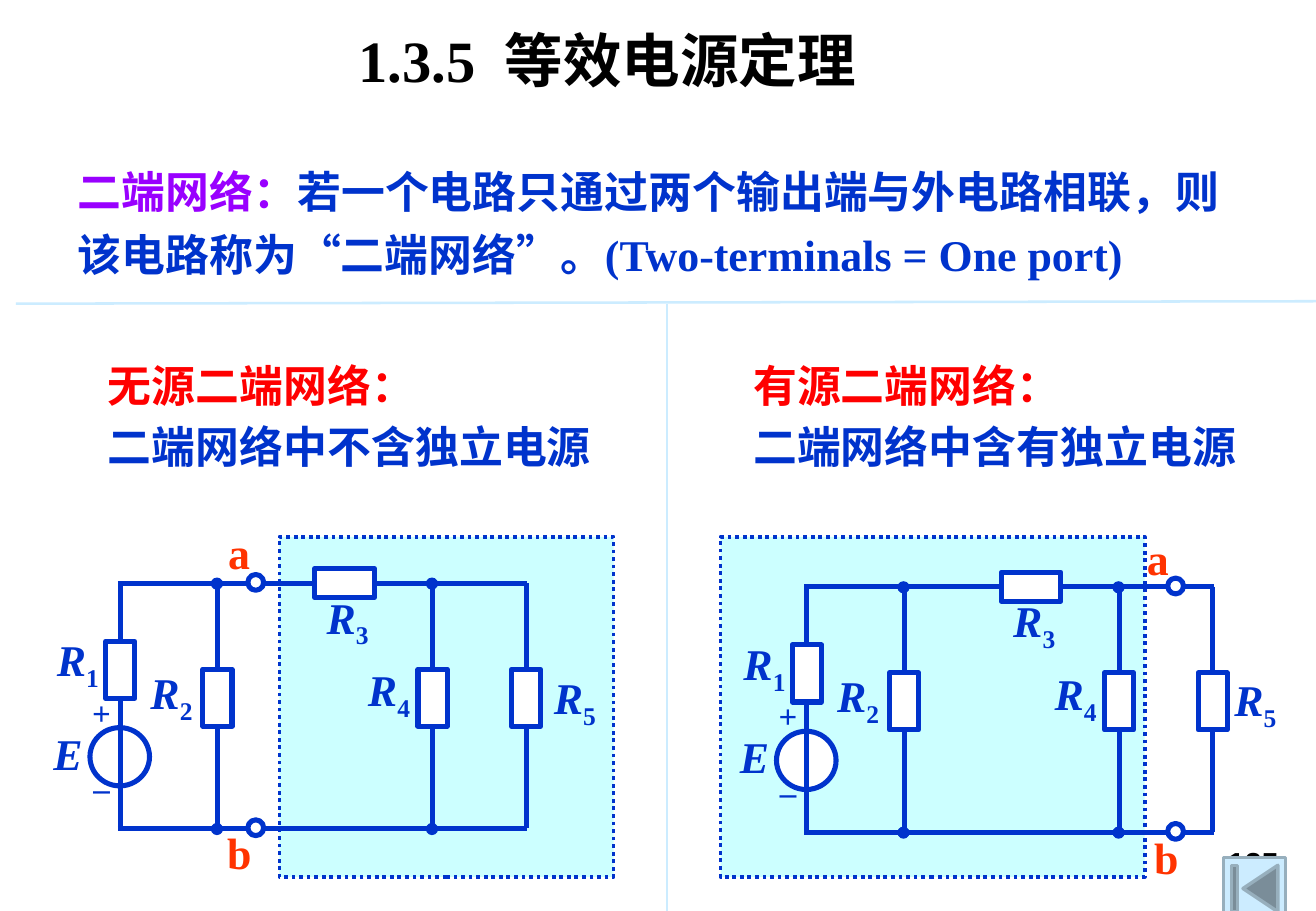
"""Build the slide that introduces passive and active two-terminal networks."""
from lxml.etree import SubElement
from pptx import Presentation
from pptx.dml.color import RGBColor
from pptx.enum.dml import MSO_LINE
from pptx.enum.shapes import MSO_CONNECTOR, MSO_SHAPE
from pptx.enum.text import MSO_AUTO_SIZE, PP_ALIGN
from pptx.oxml.ns import qn
from pptx.util import Inches, Pt

COLORS = {
    "black": "000000", "white": "FFFFFF", "blue": "0033CC", "purple": "9900FF",
    "red": "FF0000", "orange": "FF3300", "panel": "CCFFFF", "pale": "CCECFF",
    "steel": "97AFBD",
}

deck = Presentation()
deck.slide_width, deck.slide_height = Inches(10.83), Inches(7.5)
page = deck.slides.add_slide(deck.slide_layouts[6])


def add_text(left, top, width, height, lines, size=26, font="Times New Roman", wrap=False):
    box = page.shapes.add_textbox(Inches(left), Inches(top), Inches(width), Inches(height))
    frame = box.text_frame
    frame.word_wrap = wrap
    frame.auto_size = MSO_AUTO_SIZE.SHAPE_TO_FIT_TEXT
    for index, pieces in enumerate(lines):
        para = frame.add_paragraph() if index else frame.paragraphs[0]
        if index:
            para.space_before = Pt(5.2)
        for text, color, style in pieces:
            span = para.add_run()
            span.text = text
            span.font.name, span.font.size, span.font.bold = font, Pt(size), True
            span.font.italic = style == "italic"
            span.font.color.rgb = RGBColor.from_string(COLORS[color])
            if style == "subscript":
                span._r.get_or_add_rPr().set("baseline", "-25000")
    return frame.paragraphs[0]


def add_figure(kind, left, top, width, height, fill="white", line="blue", weight=3):
    figure = page.shapes.add_shape(kind, Inches(left), Inches(top), Inches(width), Inches(height))
    figure.shadow.inherit = False
    figure.fill.solid()
    figure.fill.fore_color.rgb = RGBColor.from_string(COLORS[fill])
    figure.line.color.rgb = RGBColor.from_string(COLORS[line])
    figure.line.width = Pt(weight)
    return figure


number = add_text(7.63, 6.9, 2.99, 0.4, [[("125", "black", "")]], 18, "Arial", True)
number.alignment = PP_ALIGN.RIGHT
add_text(2.85, 0.15, 4.46, 0.68, [[("1.3.5  等效电源定理", "black", "")]], 34.7)
definition = add_text(0.54, 1.22, 9.76, 1.1, [[
    ("二端网络：", "purple", ""),
    ("若一个电路只通过两个输出端与外电路相联，则该电路称为“二端网络”。"
     "(Two-terminals = One port)", "blue", ""),
]], wrap=True)
definition.line_spacing = 1.2

for left, heading, meaning in [
    (0.79, "无源二端网络：", "二端网络中不含独立电源"),
    (6.1, "有源二端网络：", "二端网络中含有独立电源"),
]:
    add_text(left, 2.9, 4.35, 1.06, [[(heading, "red", "")], [(meaning, "blue", "")]], wrap=True)

for left, width in [(2.3, 2.75), (5.93, 3.49)]:
    panel = add_figure(MSO_SHAPE.RECTANGLE, left, 4.42, width, 2.8, "panel", weight=2.25)
    panel.line.dash_style = MSO_LINE.ROUND_DOT

TOP, BOTTOM = 4.8, 6.82
BRANCHES = [0.99, 1.79, 3.56, 4.33]
circuits = [
    {"dx": 0, "dy": 0, "terminal": 2.1, "a": (1.78, 4.28), "b": (1.77, 6.75), "R5": (4.46, 5.47)},
    {"dx": 5.65, "dy": 0.03, "terminal": 4.02, "a": (3.69, 4.3), "b": (3.75, 6.76), "R5": (4.41, 5.46)},
]

segments = [
    (0.13, 2.5, 10.83, 2.48, "pale", 1.5),
    (5.49, 2.5, 5.49, 7.5, "pale", 1.5),
]
for circuit in circuits:
    dx, dy = circuit["dx"], circuit["dy"]
    add_figure(MSO_SHAPE.OVAL, 0.74 + dx, 5.99 + dy, 0.49, 0.48)
    for x in BRANCHES:
        segments.append((x + dx, TOP + dy, x + dx, BOTTOM + dy, "blue", 3))
    for y in (TOP, BOTTOM):
        segments.append((0.97 + dx, y + dy, 4.34 + dx, y + dy, "blue", 3))

for x1, y1, x2, y2, color, weight in segments:
    wire = page.shapes.add_connector(
        MSO_CONNECTOR.STRAIGHT, Inches(x1), Inches(y1), Inches(x2), Inches(y2))
    wire.line.color.rgb = RGBColor.from_string(COLORS[color])
    wire.line.width = Pt(weight)
    SubElement(wire._element.spPr, qn("a:effectLst"))

for circuit in circuits:
    dx, dy = circuit["dx"], circuit["dy"]
    for x, y in zip(BRANCHES, [5.28, 5.51, 5.51, 5.51]):
        add_figure(MSO_SHAPE.RECTANGLE, x - 0.12 + dx, y + dy, 0.24, 0.47)
    add_figure(MSO_SHAPE.RECTANGLE, 2.59 + dx, TOP - 0.12 + dy, 0.49, 0.24)
    for y in (TOP, BOTTOM):
        for x in BRANCHES[1:3]:
            add_figure(MSO_SHAPE.OVAL, x - 0.05 + dx, y - 0.04 + dy, 0.09, 0.09, "blue", weight=0.75)
        add_figure(MSO_SHAPE.OVAL, circuit["terminal"] - 0.06 + dx, y - 0.07 + dy, 0.13, 0.13)

    resistors = [(0.37, 5.16), (1.14, 5.43), (2.59, 4.81), (2.93, 5.41), circuit["R5"]]
    for index, (x, y) in enumerate(resistors, start=1):
        label = [("R", "blue", "italic"), (str(index), "blue", "subscript")]
        add_text(x + dx, y + dy, 0.57, 0.54, [label])
    for text, x, y, width, height, color, style, size in [
        ("a", *circuit["a"], 0.38, 0.54, "orange", "", 26),
        ("b", *circuit["b"], 0.4, 0.54, "orange", "", 26),
        ("E", 0.34, 5.93, 0.45, 0.54, "blue", "italic", 26),
        ("+", 0.66, 5.65, 0.36, 0.43, "blue", "", 19.5),
        ("_", 0.67, 6.18, 0.34, 0.43, "blue", "", 19.5),
    ]:
        add_text(x + dx, y + dy, width, height, [[(text, color, style)]], size)

add_figure(MSO_SHAPE.ACTION_BUTTON_BEGINNING, 10.07, 7.06, 0.51, 0.51, "pale", "steel", 2)

deck.save("out.pptx")
